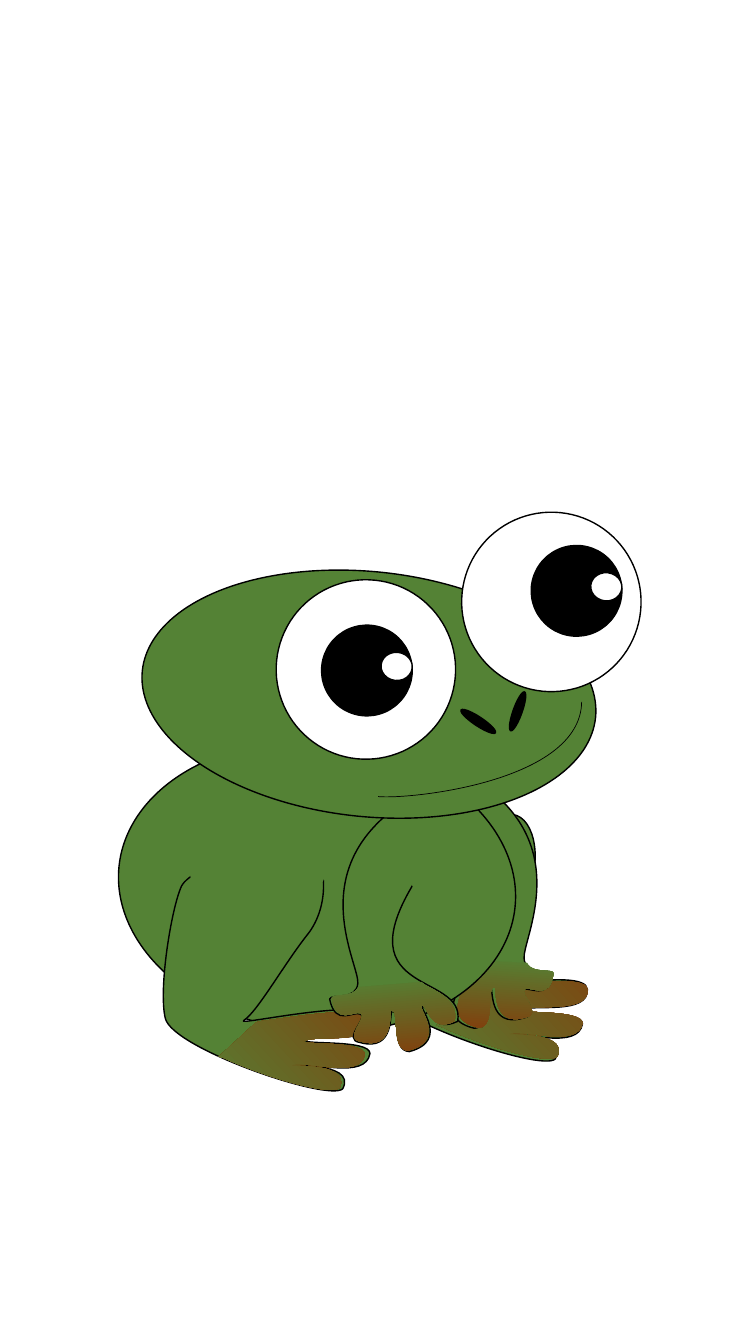
from dataclasses import dataclass
from math import cos, radians, sin

from lxml import etree
from pptx import Presentation
from pptx.dml.color import RGBColor
from pptx.enum.shapes import MSO_SHAPE
from pptx.oxml.ns import qn
from pptx.util import Emu, Inches, Pt

OVAL, RECT = MSO_SHAPE.OVAL, MSO_SHAPE.RECTANGLE
SLIDE_W, SLIDE_H = 7.5, 13.33


@dataclass(frozen=True)
class Theme:
    skin: str = "548235"
    toe: str = "843C0B"
    black: str = "000000"
    white: str = "FFFFFF"
    outline: float = 1
    thin: float = 0.5


THEME = Theme()
TOE_TO_SKIN = [(0, THEME.toe), (1, THEME.skin)]
SKIN_TO_TOE = [(0.01, THEME.skin), (1, THEME.toe)]

# Outlines: frame (left, top, width, height), turn, then the pen's steps on the slide.
# Two numbers are a point, six are a curve.
HIND_LEG = ((1.57, 8.42, 2.44, 2.25), 28.5, [
    (3.05, 9.27),
    (3.29, 8.97, 3.24, 8.47, 3.03, 8.39), (2.82, 8.32, 1.91, 8.57, 1.8, 8.79),
    (1.7, 9.01, 1.57, 9.81, 1.64, 10.1), (1.71, 10.4, 3.26, 10.93, 3.4, 10.8),
    (3.55, 10.51, 2.76, 10.59, 2.93, 10.56), (3.09, 10.53, 3.63, 10.71, 3.67, 10.45),
    (3.68, 10.3, 2.91, 10.37, 3.05, 10.31), (3.2, 10.26, 3.73, 10.36, 3.72, 10.11),
    (3.71, 9.86, 2.3, 10.19, 2.42, 10.12), (2.55, 10.04, 2.82, 9.56, 3.05, 9.27)])
HIND_TOES = ((2.5, 9.73, 1.05, 1.35), 47, [
    (3.54, 10.05),
    (3.62, 10.06, 3.67, 10.08, 3.67, 10.13), (3.68, 10.36, 3.17, 10.27, 3.03, 10.32),
    (2.89, 10.37, 3.63, 10.31, 3.62, 10.46), (3.58, 10.7, 3.07, 10.53, 2.91, 10.56),
    (2.75, 10.59, 3.5, 10.51, 3.37, 10.79), (3.28, 10.87, 2.67, 10.7, 2.21, 10.49),
    (2.17, 10.48), (2.54, 10.14), (2.57, 10.13),
    (2.82, 10.1, 3.31, 10.01, 3.54, 10.05)])
FORELEG = ((3.37, 7.54, 1.44, 2.89), 5.9, [
    (3.76, 8.15),
    (4.41, 7.51, 4.88, 7.57, 4.95, 7.65), (5.03, 7.72, 4.28, 8.18, 4.21, 8.6),
    (3.31, 9.91, 4.63, 9.62, 4.54, 10.13), (4.29, 10.25, 4.25, 9.99, 4.2, 9.98),
    (4.12, 9.96, 4.48, 10.32, 4.06, 10.43), (3.87, 10.42, 3.98, 10.02, 3.89, 10.03),
    (3.86, 10.02, 3.93, 10.44, 3.57, 10.34), (3.39, 10.31, 3.65, 10.1, 3.58, 10.06),
    (3.5, 10.02, 3.33, 10.19, 3.27, 9.91), (3.28, 9.85, 3.54, 9.93, 3.55, 9.75),
    (3.56, 9.57, 3.1, 8.79, 3.76, 8.15)])
FORE_TOES = ((3.31, 9.76, 1.21, 0.67), 355.1, [
    (4.18, 9.74), (3.55, 9.79), (3.55, 9.8),
    (3.49, 9.9, 3.3, 9.85, 3.29, 9.9), (3.34, 10.18, 3.51, 10.02, 3.58, 10.05),
    (3.65, 10.09, 3.4, 10.31, 3.58, 10.33), (3.93, 10.43, 3.86, 10.01, 3.88, 10.02),
    (3.97, 10.01, 3.87, 10.42, 4.05, 10.42), (4.46, 10.32, 4.11, 9.96, 4.19, 9.97),
    (4.24, 9.98, 4.27, 10.25, 4.51, 10.13), (4.55, 9.94, 4.39, 9.86, 4.22, 9.77),
    (4.18, 9.74)])
MOUTH = ((3.18, 6.76, 2.63, 1.16), 152.7, [
    (5.77, 6.96), (5.76, 7.76, 4.05, 7.93, 3.75, 7.9)])

# Far limbs: the near outlines in other frames
FAR_HIND_LEG = ((3.66, 8.12, 2.46, 2.25), 28.5)
FAR_HIND_TOES = ((4.66, 9.42, 1.05, 1.35), 47)
FAR_FORELEG = ((3.92, 7.31, 1.44, 2.89), 352.6)
FAR_FORE_TOES = ((4.27, 9.53, 1.21, 0.67), 3.3)

# Ovals: frame, turn
TILT = 5.9
BODY = ((1.17, 7.36, 3.95, 2.87), TILT)
HEAD = ((1.4, 5.67, 4.52, 2.43), TILT)
FAR_SHOULDER = ((4.12, 7.91, 0.72, 1.17), 4.9)
NEAR_SHOULDER = ((4.01, 7.88, 0.72, 1.17), 353.6)
HIP = ((2.12, 7.94, 0.89, 1.36), 265.3)
NOSTRILS = [((4.54, 7.11, 0.41, 0.09), 33.5), ((4.93, 7.01, 0.41, 0.09), 289.6)]
EYES = [((4.58, 5.08), (5.27, 5.41)), ((2.74, 5.75), (3.19, 6.2))]  # eyeball, pupil
EYEBALL, PUPIL, GLINT = (1.78, 1.78), (0.9, 0.9), (0.31, 0.28)
GLINT_SHIFT = (0.59, 0.27)


def paint(shape, fill, outline, ink=THEME.black):
    shape.shadow.inherit = False
    if fill is None:
        shape.fill.background()
    elif isinstance(fill, str):
        shape.fill.solid()
        shape.fill.fore_color.rgb = RGBColor.from_string(fill)
    else:
        shape.fill.gradient()
        shape.fill.gradient_angle = 270
        for stop, (position, color) in zip(shape.fill.gradient_stops, fill):
            stop.position = position
            stop.color.rgb = RGBColor.from_string(color)
    if outline:
        shape.line.color.rgb = RGBColor.from_string(ink)
        shape.line.width = Pt(outline)
    else:
        shape.line.fill.background()


def oval(frame, turn, fill, outline=THEME.outline):
    shape = frog.add_shape(OVAL, *map(Inches, frame))
    shape.rotation = turn
    paint(shape, fill, outline)


def shares(point, frame, turn):
    """Place of a slide point within a turned frame, as shares of its size."""
    left, top, width, height = frame
    dx, dy = point[0] - left - width / 2, point[1] - top - height / 2
    c, s = cos(radians(turn)), sin(radians(turn))
    return (dx * c + dy * s) / width + 0.5, (dy * c - dx * s) / height + 0.5


def outline_shape(outline, fill, line=THEME.outline, placed=None, mirrored=False):
    frame, turn, steps = outline
    target, target_turn = placed or (frame, turn)
    left, top, width, height = map(Inches, target)
    builder = frog.build_freeform(left, top)
    builder.add_line_segments([(left + width, top), (left + width, top + height),
                               (left, top + height)], close=False)
    shape = builder.convert_to_shape()
    shape.rotation = target_turn

    # Redraw the frame's path with curves
    pen = next(shape.element.iter(qn("a:path")))
    for segment in list(pen):
        pen.remove(segment)
    for i, step in enumerate(steps):
        tag = "a:moveTo" if i == 0 else "a:lnTo" if len(step) == 2 else "a:cubicBezTo"
        segment = etree.SubElement(pen, qn(tag))
        for point in zip(step[::2], step[1::2]):
            x, y = shares(point, frame, turn)
            x = 1 - x if mirrored else x
            etree.SubElement(segment, qn("a:pt"), x=str(Emu(round(x * width))),
                             y=str(Emu(round(y * height))))
    if steps[0] == steps[-1][-2:]:
        etree.SubElement(pen, qn("a:close"))
    paint(shape, fill, line)


prs = Presentation()
prs.slide_width, prs.slide_height = Inches(SLIDE_W), Inches(SLIDE_H)
slide = prs.slides.add_slide(prs.slide_layouts[6])

# Backdrop
backdrop = slide.shapes.add_shape(RECT, *map(Inches, (0, 4.33, SLIDE_W, 9)))
paint(backdrop, THEME.white, THEME.outline, THEME.white)
frog = slide.shapes.add_group_shape().shapes

# Far limbs
outline_shape(HIND_LEG, THEME.skin, placed=FAR_HIND_LEG)
outline_shape(HIND_TOES, TOE_TO_SKIN, None, FAR_HIND_TOES)
outline_shape(FORELEG, THEME.skin, placed=FAR_FORELEG, mirrored=True)
oval(*FAR_SHOULDER, THEME.skin, None)
outline_shape(FORE_TOES, SKIN_TO_TOE, None, FAR_FORE_TOES, mirrored=True)

# Body and near limbs
oval(*BODY, THEME.skin)
outline_shape(HIND_LEG, THEME.skin)
outline_shape(HIND_TOES, TOE_TO_SKIN, None)
outline_shape(FORELEG, THEME.skin)
outline_shape(FORE_TOES, SKIN_TO_TOE, None)
oval(*NEAR_SHOULDER, THEME.skin, None)

# Head and face
oval(*HEAD, THEME.skin)
for eyeball, pupil in EYES:
    glint = tuple(a + b for a, b in zip(pupil, GLINT_SHIFT))
    oval(eyeball + EYEBALL, TILT, THEME.white)
    oval(pupil + PUPIL, TILT, THEME.black)
    oval(glint + GLINT, TILT, THEME.white)
for nostril in NOSTRILS:
    oval(*nostril, THEME.black)
outline_shape(MOUTH, None, THEME.thin)

# Hip over the leg's upper edge
oval(*HIP, THEME.skin, None)

prs.save("out.pptx")
